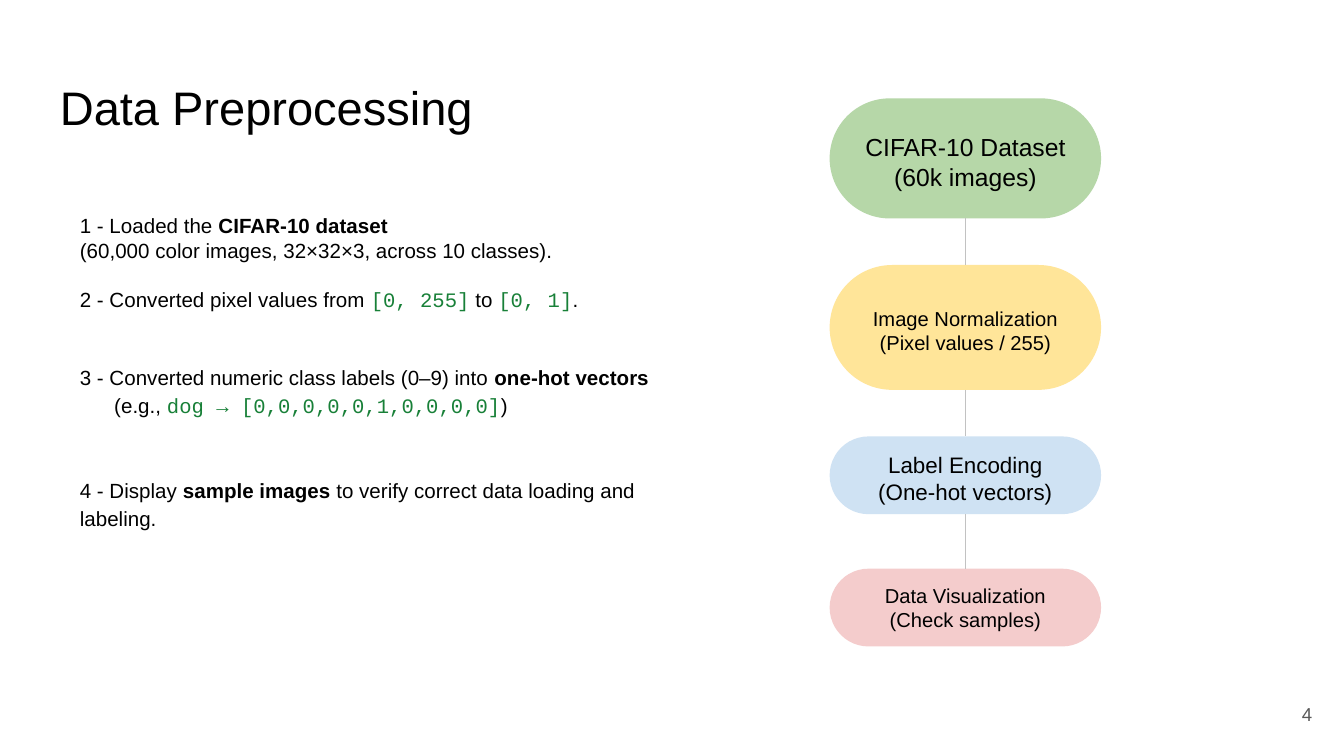
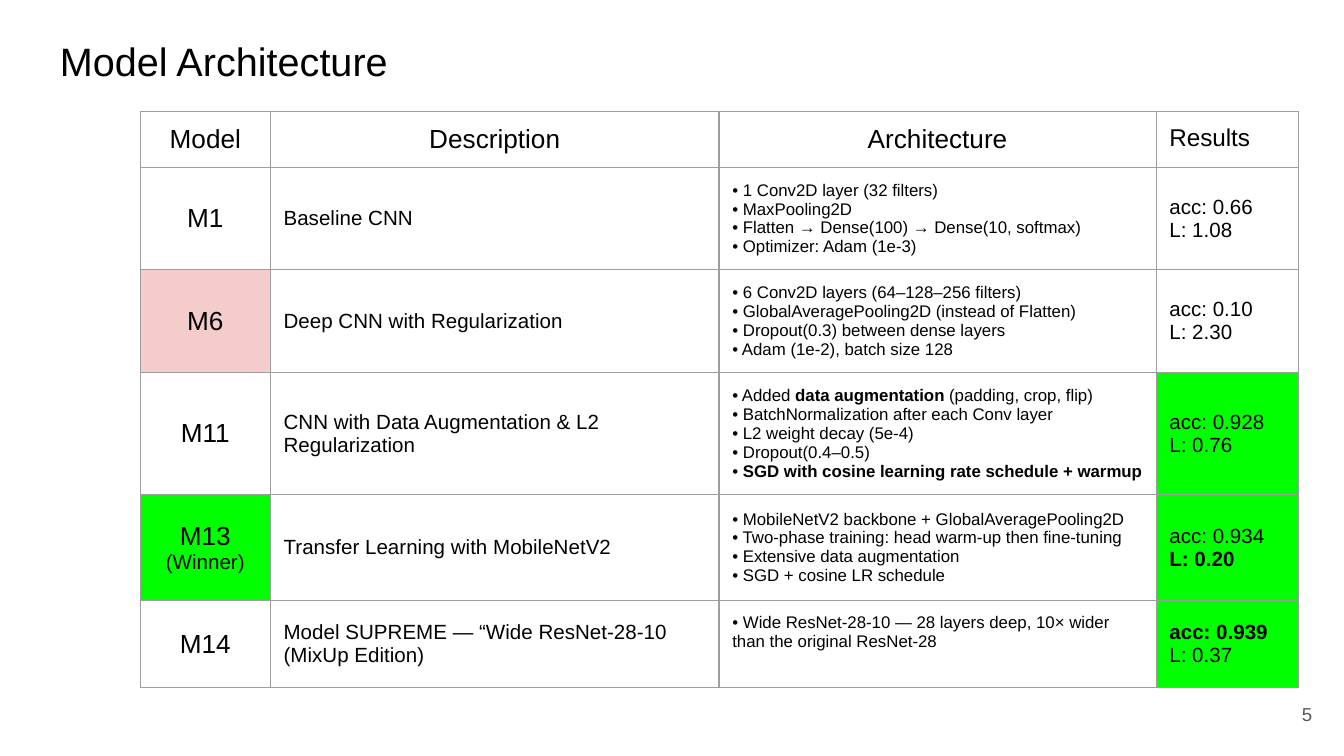
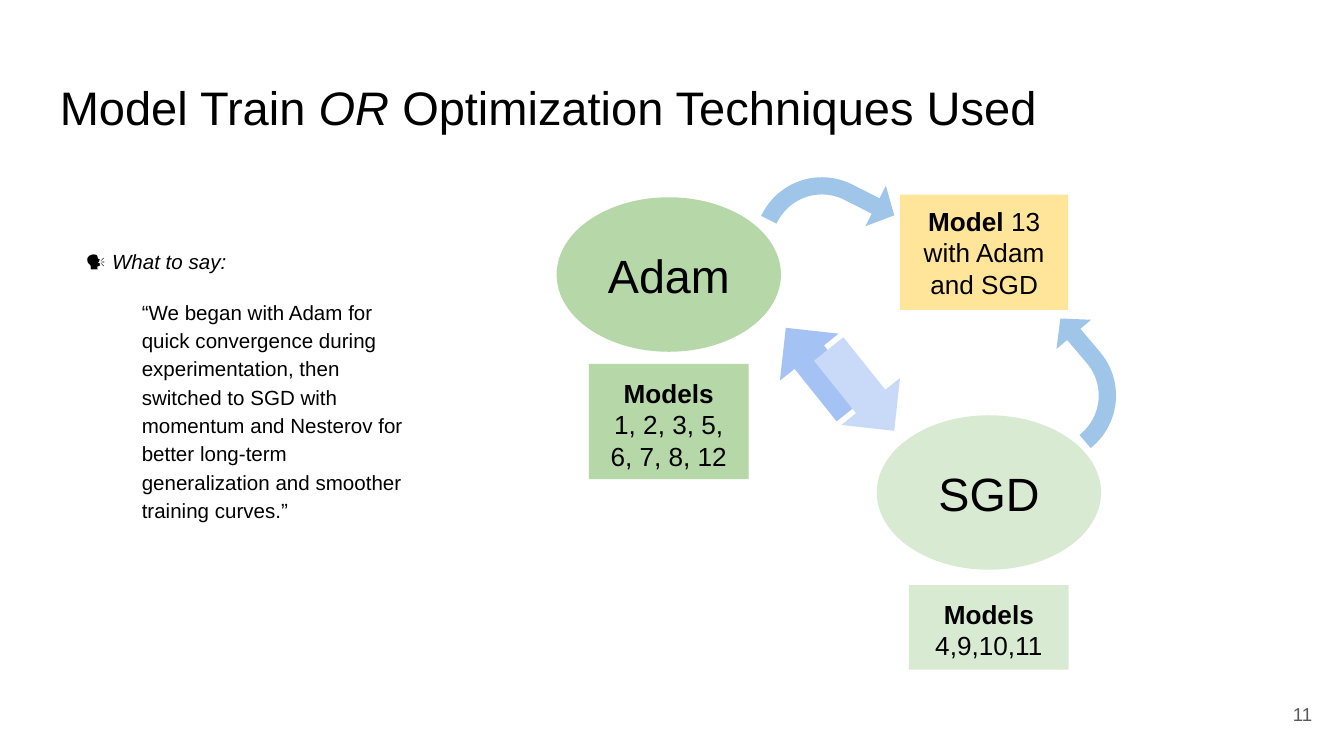
from itertools import pairwise

from lxml.etree import SubElement
from pptx import Presentation
from pptx.dml.color import RGBColor
from pptx.enum.shapes import MSO_CONNECTOR, MSO_SHAPE
from pptx.enum.text import MSO_ANCHOR, MSO_AUTO_SIZE, PP_ALIGN
from pptx.oxml.ns import qn
from pptx.util import Cm, Pt

# Colours and fonts
BLACK = RGBColor(0x00, 0x00, 0x00)
GREY = RGBColor(0x59, 0x59, 0x59)
LINE_GREY = RGBColor(0xC2, 0xC2, 0xC2)
BORDER_GREY = RGBColor(0x9E, 0x9E, 0x9E)
CODE_GREEN = RGBColor(0x18, 0x80, 0x38)
GREEN = RGBColor(0xB6, 0xD7, 0xA8)
PALE_GREEN = RGBColor(0xD9, 0xEA, 0xD3)
YELLOW = RGBColor(0xFF, 0xE5, 0x99)
PALE_BLUE = RGBColor(0xCF, 0xE2, 0xF3)
PINK = RGBColor(0xF4, 0xCC, 0xCC)
LIME = RGBColor(0x00, 0xFF, 0x00)
ARROW_BLUE = RGBColor(0xA4, 0xC2, 0xF4)
ARROW_PALE = RGBColor(0xC9, 0xDA, 0xF8)
CURVE_BLUE = RGBColor(0x9F, 0xC5, 0xE8)
FONT, CODE_FONT = "Arial", "Courier New"
INSET = 0.25

# A paragraph is a list of runs; a run is a string or (string, style)
# Steps: runs, line spacing, points before, left indent in cm
STEPS = [
    (["1 - Loaded the ", ("CIFAR-10 dataset", "bold")], 1, 0, 0),
    (["(60,000 color images, 32×32×3, across 10 classes)."], 1, 0, 0),
    (["2 - Converted pixel values from ", ("[0, 255]", "code"), " to ",
      ("[0, 1]", "code"), "."], 1, 13, 0),
    (["3 - Converted numeric class labels (0–9) into ",
      ("one-hot vectors", "bold")], 1.15, 26.5, 0),
    (["(e.g., ", ("dog → [0,0,0,0,0,1,0,0,0,0]", "code"), ")"], 1.15, 0, 0.65),
    (["4 - Display ", ("sample images", "bold"),
      " to verify correct data loading and labeling."], 1.15, 30.5, 0),
]

# Stages: text, size, fill, top, height, top inset
STAGE_LEFT, STAGE_WIDTH = 15.68, 5.13
STAGES = [
    ("CIFAR-10 Dataset (60k images)", 13.2, GREEN, 1.86, 2.27, 0.42),
    ("Image Normalization (Pixel values / 255)", 10.8, YELLOW, 5.01, 2.36, 0.4),
    ("Label Encoding (One-hot vectors)", 12, PALE_BLUE, 8.25, 1.47, 0.4),
    ("Data Visualization (Check samples)", 10.8, PINK, 10.75, 1.47, 0.3),
]

HEADERS = ["Model", "Description", "Architecture", "Results"]
MODELS = [
    (["M1"], "Baseline CNN",
     [["• 1 Conv2D layer (32 filters)"], ["• MaxPooling2D"],
      ["• Flatten → Dense(100) → Dense(10, softmax)"],
      ["• Optimizer: Adam (1e-3)"]],
     [["acc: 0.66"], ["L: 1.08"]]),
    (["M6"], "Deep CNN with Regularization",
     [["• 6 Conv2D layers (64–128–256 filters)"],
      ["• GlobalAveragePooling2D (instead of Flatten)"],
      ["• Dropout(0.3) between dense layers"],
      ["• Adam (1e-2), batch size 128"]],
     [["acc: 0.10"], ["L: 2.30"]]),
    (["M11"], "CNN with Data Augmentation & L2 Regularization",
     [["• Added ", ("data augmentation", "bold"), " (padding, crop, flip)"],
      ["• BatchNormalization after each Conv layer"],
      ["• L2 weight decay (5e-4)"], ["• Dropout(0.4–0.5)"],
      ["• ", ("SGD with cosine learning rate schedule + warmup", "bold")]],
     [["acc: 0.928"], ["L: 0.76"]]),
    (["M13", "(Winner)"], "Transfer Learning with MobileNetV2",
     [["• MobileNetV2 backbone + GlobalAveragePooling2D"],
      ["• Two-phase training: head warm-up then fine-tuning"],
      ["• Extensive data augmentation"], ["• SGD + cosine LR schedule"]],
     [["acc: 0.934"], [("L: 0.20", "bold")]]),
    (["M14"], "Model SUPREME — “Wide ResNet-28-10 (MixUp Edition)",
     [["• Wide ResNet-28-10 — 28 layers deep, 10× wider than the original ResNet-28"]],
     [[("acc: 0.939", "bold")], ["L: 0.37"]]),
]
COL_WIDTHS = [2.46, 8.48, 8.26, 2.69]
ROW_HEIGHTS = [1.06, 1.93, 1.94, 2.31, 2, 1.65]
CELL_FILLS = {(2, 0): PINK, (3, 3): LIME, (4, 0): LIME, (4, 3): LIME, (5, 3): LIME}

# Speaking hint, then optimizer diagram: paragraphs, size, fill, box
HINT = [["🗣️ ", ("What to say:", "italic")],
        ["“We began with Adam for quick convergence during experimentation, then "
         "switched to SGD with momentum and Nesterov for better long-term "
         "generalization and smoother training curves.”"]]
QUOTE_INDENT = 1.06
OPTIMIZERS = [("Adam", GREEN, 10.52, 3.73), ("SGD", PALE_GREEN, 16.57, 7.85)]
MODEL_BOXES = [
    ([[("Models", "bold")], ["1, 2, 3, 5, 6, 7, 8, 12"]], GREEN,
     (11.13, 6.88, 3.02, 2.18), MSO_ANCHOR.TOP),
    ([[("Models", "bold")], ["4,9,10,11"]], PALE_GREEN,
     (17.18, 11.06, 3.02, 1.6), MSO_ANCHOR.TOP),
    ([[("Model ", "bold"), "13 with Adam and SGD"]], YELLOW,
     (17.01, 3.68, 3.18, 2.18), MSO_ANCHOR.MIDDLE),
]
SWITCH, CURVE = (0.5, 0.5), (0.208, 0.273, 0.25, 0.807)
# Arrows: preset, adjustments, fill, box, rotation, mirrored
ARROWS = [
    (MSO_SHAPE.UP_ARROW, SWITCH, ARROW_BLUE, (14.76, 5.98, 1.42, 1.98), 321.3, False),
    (MSO_SHAPE.UP_ARROW, SWITCH, ARROW_PALE, (15.57, 6.38, 1.42, 1.98), 141.3, False),
    (MSO_SHAPE.BENT_ARROW, CURVE, CURVE_BLUE, (14.62, 3.1, 2.24, 1.57), 26.8, False),
    (MSO_SHAPE.BENT_ARROW, CURVE, CURVE_BLUE, (19.37, 6.32, 2.24, 1.57), 49.8, True),
]


# Shared helpers
def write(tf, paras, size, align=PP_ALIGN.LEFT, color=BLACK):
    for i, runs in enumerate(paras):
        p = tf.paragraphs[0] if i == 0 else tf.add_paragraph()
        p.alignment = align
        for run in runs:
            text, style = (run, "") if isinstance(run, str) else run
            r = p.add_run()
            r.text = text
            r.font.size = Pt(size)
            r.font.name = CODE_FONT if style == "code" else FONT
            r.font.color.rgb = CODE_GREEN if style == "code" else color
            r.font.bold = style == "bold"
            r.font.italic = style == "italic"


def frame(tf, anchor=MSO_ANCHOR.TOP, inset=INSET):
    tf.word_wrap = True
    tf.auto_size = MSO_AUTO_SIZE.NONE
    tf.vertical_anchor = anchor
    tf.margin_left = tf.margin_right = tf.margin_top = tf.margin_bottom = Cm(inset)
    return tf


def add_text(s, box):
    return frame(s.shapes.add_textbox(*map(Cm, box)).text_frame)


def add_filled(s, kind, box, fill):
    sp = s.shapes.add_shape(kind, *map(Cm, box))
    sp.shadow.inherit = False
    sp.fill.solid()
    sp.fill.fore_color.rgb = fill
    sp.line.fill.background()
    return sp


def add_slide(prs, title, number, size=25.2, top=1.24, width=23.67):
    s = prs.slides.add_slide(prs.slide_layouts[5])
    sp = s.shapes.title
    sp.left, sp.top, sp.width, sp.height = map(Cm, (0.88, top, width, 1.6))
    write(frame(sp.text_frame), [title], size)
    tf = add_text(s, (23.53, 12.95, 1.52, 1.09))
    tf.vertical_anchor = MSO_ANCHOR.MIDDLE
    write(tf, [[str(number)]], 10, PP_ALIGN.RIGHT, GREY)
    return s


def add_borders(cell):
    tc_pr = cell._tc.get_or_add_tcPr()
    for side in ("lnL", "lnR", "lnT", "lnB"):
        ln = SubElement(tc_pr, qn(f"a:{side}"), w=str(Pt(0.75)))
        fill = SubElement(ln, qn("a:solidFill"))
        SubElement(fill, qn("a:srgbClr"), val=str(BORDER_GREY))


# Slides
def preprocessing(prs):
    s = add_slide(prs, ["Data Preprocessing"], 4, width=8.31)
    tf = add_text(s, (1.26, 3.78, 11.61, 8.69))
    write(tf, [step[0] for step in STEPS], 11)
    for p, (_, spacing, before, indent) in zip(tf.paragraphs, STEPS):
        p.line_spacing = float(spacing)
        if before:
            p.space_before = Pt(before)
        if indent:
            p._p.get_or_add_pPr().set("marL", str(Cm(indent)))

    # Pipeline
    stages = []
    for text, size, fill, top, height, top_inset in STAGES:
        sp = add_filled(s, MSO_SHAPE.ROUNDED_RECTANGLE,
                        (STAGE_LEFT, top, STAGE_WIDTH, height), fill)
        sp.adjustments[0] = 0.5
        tf = frame(sp.text_frame, MSO_ANCHOR.MIDDLE, 0.3)
        tf.margin_top = Cm(top_inset)
        write(tf, [[text]], size, PP_ALIGN.CENTER)
        stages.append(sp)
    for upper, lower in pairwise(stages):
        line = s.shapes.add_connector(MSO_CONNECTOR.STRAIGHT, 0, 0, 0, 0)
        line.begin_connect(upper, 2)
        line.end_connect(lower, 0)
        line.line.color.rgb = LINE_GREY
        line.line.width = Pt(0.75)
        SubElement(line._element.spPr, qn("a:effectLst"))


def architecture(prs):
    s = add_slide(prs, ["Model Architecture"], 5, size=21.2, top=0.45)
    table = s.shapes.add_table(
        len(ROW_HEIGHTS), len(COL_WIDTHS), Cm(2.65), Cm(2.11),
        Cm(sum(COL_WIDTHS)), Cm(sum(ROW_HEIGHTS))).table
    table.first_row = table.horz_banding = False
    for col, width in zip(table.columns, COL_WIDTHS):
        col.width = Cm(width)
    for row, height in zip(table.rows, ROW_HEIGHTS):
        row.height = Cm(height)

    # Cell frames, borders and fills
    for r in range(len(ROW_HEIGHTS)):
        for c in range(len(COL_WIDTHS)):
            cell = table.cell(r, c)
            cell.margin_left = cell.margin_right = Cm(INSET)
            cell.margin_top = cell.margin_bottom = Cm(INSET)
            cell.vertical_anchor = MSO_ANCHOR.MIDDLE
            add_borders(cell)
            if (r, c) in CELL_FILLS:
                cell.fill.solid()
                cell.fill.fore_color.rgb = CELL_FILLS[r, c]
            else:
                cell.fill.background()
    table.cell(0, 3).vertical_anchor = MSO_ANCHOR.TOP
    table.cell(5, 2).vertical_anchor = MSO_ANCHOR.TOP

    # Cell text
    for c, header in enumerate(HEADERS):
        last = c == len(HEADERS) - 1
        write(table.cell(0, c).text_frame, [[header]], 13 if last else 14,
              PP_ALIGN.LEFT if last else PP_ALIGN.CENTER)
    for r, (name, description, layers, results) in enumerate(MODELS, 1):
        tf = table.cell(r, 0).text_frame
        write(tf, [[part] for part in name], 14, PP_ALIGN.CENTER)
        for p in tf.paragraphs[1:]:
            p.runs[0].font.size = Pt(11)
        write(table.cell(r, 1).text_frame, [[description]], 11)
        write(table.cell(r, 2).text_frame, layers, 9)
        write(table.cell(r, 3).text_frame, results, 11)


def optimization(prs):
    s = add_slide(prs, ["Model Train ", ("OR", "italic"),
                        " Optimization Techniques Used"], 11)
    tf = add_text(s, (1.37, 4.39, 7.82, 8.31))
    write(tf, HINT, 11)
    for p in tf.paragraphs:
        p.line_spacing = 1.15
    quote = tf.paragraphs[1]
    quote.space_before = Pt(12)
    for side in ("marL", "marR"):
        quote._p.get_or_add_pPr().set(side, str(Cm(QUOTE_INDENT)))

    # Optimizers and the models trained with them
    for name, fill, left, top in OPTIMIZERS:
        sp = add_filled(s, MSO_SHAPE.OVAL, (left, top, 4.24, 2.92), fill)
        write(frame(sp.text_frame, MSO_ANCHOR.MIDDLE), [[name]], 25, PP_ALIGN.CENTER)
    for paras, fill, box, anchor in MODEL_BOXES:
        sp = add_filled(s, MSO_SHAPE.RECTANGLE, box, fill)
        write(frame(sp.text_frame, anchor), paras, 14, PP_ALIGN.CENTER)

    # Arrows
    for kind, adjustments, fill, box, rotation, mirrored in ARROWS:
        sp = add_filled(s, kind, box, fill)
        for i, value in enumerate(adjustments):
            sp.adjustments[i] = value
        sp.rotation = rotation
        if mirrored:
            sp._element.spPr.xfrm.set("flipH", "1")


def main():
    prs = Presentation()
    prs.slide_width, prs.slide_height = Cm(25.4), Cm(14.29)
    preprocessing(prs)
    architecture(prs)
    optimization(prs)
    prs.save("out.pptx")


if __name__ == "__main__":
    main()
